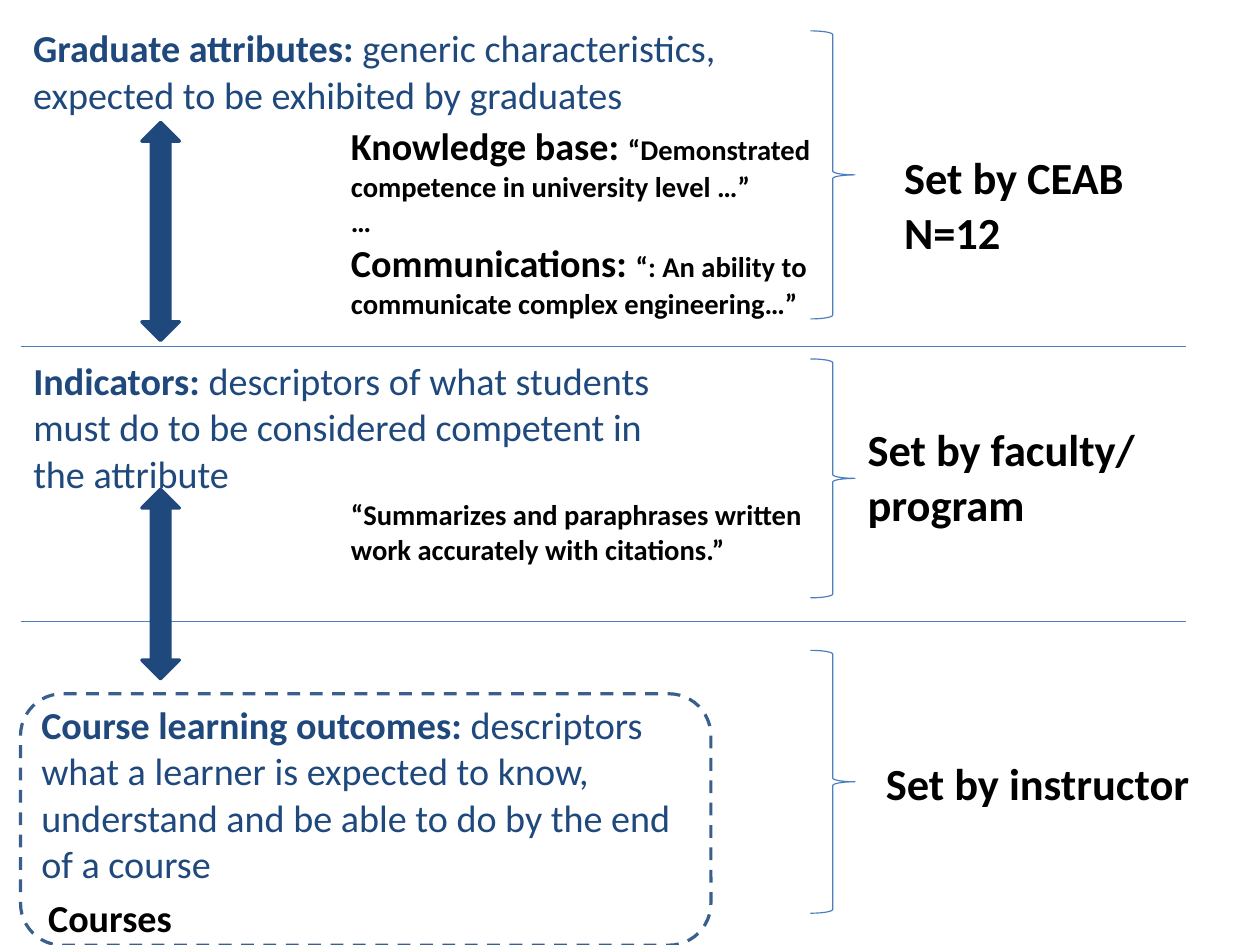
from dataclasses import dataclass

from lxml import etree
from pptx import Presentation
from pptx import util as u
from pptx.dml.color import RGBColor
from pptx.enum import dml, shapes, text
from pptx.oxml.ns import qn


@dataclass(frozen=True)
class Theme:
    font: str = "Calibri"
    blue: str = "1F497D"
    black: str = "000000"
    rule: str = "4B7EBC"
    dash: str = "3A5F8C"
    small: int = 18
    body: int = 24
    label: int = 28
    thin: float = 0.75
    thick: float = 2
    spacing: float = 1.02
    inset_side: int = 8
    inset_end: int = 4


THEME = Theme()
WIDTH_CM, HEIGHT_CM = 28, 21

# Columns (inches from the left edge)
MARGIN, EXAMPLES, BRACE, RULE_END = 0.18, 2.96, 7.09, 10.38
EXAMPLE_WIDTH, BRACE_WIDTH = 4.65, 0.39
ARROW_LEFT, ARROW_WIDTH = 1.24, 0.33

# A run is (words, size, bold); a paragraph is a list of runs.
# Boxes are (left, top, width, height); spans are (top, height).
TIERS = [
    dict(
        definition=[[("Graduate attributes: ", THEME.body, True),
                     ("generic characteristics, expected to be exhibited by graduates", THEME.body, False)]],
        definition_box=(MARGIN, 0.15, 6.5, 0.94),
        examples=[
            [("Knowledge base: ", THEME.body, True), ("“Demonstrated", THEME.small, True)],
            [("competence in university level …”", THEME.small, True)],
            [("…", THEME.small, True)],
            [("Communications: ", THEME.body, True),
             ("“: An ability to communicate complex engineering…”", THEME.small, True)],
        ],
        examples_span=(1.01, 1.97),
        owner=["Set by CEAB", "N=12"],
        owner_box=(7.8, 1.25, 2.17, 1.07),
        brace_span=(0.27, 2.52),
        arrow_span=(1.07, 1.91),
        rule_below=3.03,
    ),
    dict(
        definition=[[("Indicators:", THEME.body, True),
                     (" descriptors of what students must do to be considered competent in the attribute",
                      THEME.body, False)]],
        definition_box=(MARGIN, 3.06, 5.75, 1.35),
        examples=[[("“Summarizes and paraphrases written work accurately with citations.”", THEME.small, True)]],
        examples_span=(4.29, 0.73),
        owner=["Set by faculty/", "program"],
        owner_box=(7.48, 3.63, 2.59, 1.07),
        brace_span=(3.14, 2.09),
        arrow_span=(4.28, 1.66),
        rule_below=5.44,
    ),
    dict(
        definition=[[("Course learning outcomes: ", THEME.body, True),
                     ("descriptors what a learner is expected to know, understand and be able to do "
                      "by the end of a course", THEME.body, False)]],
        definition_box=(0.25, 6.07, 5.75, 1.76),
        owner=["Set by instructor"],
        owner_box=(7.64, 6.55, 3.02, 0.59),
        brace_span=(5.69, 2.3),
    ),
]
COURSES = [[("Courses", THEME.body, True)]]
COURSES_BOX = (0.31, 7.76, 1.32, 0.51)
COURSES_FRAME = (MARGIN, 6.07, 6.04, 2.2)


def inches(values):
    return [u.Inches(value) for value in values]


def rgb(colour):
    return RGBColor.from_string(colour)


def add_words(slide, box, paragraphs, colour, wrap=True):
    frame = slide.shapes.add_textbox(*inches(box)).text_frame
    frame.word_wrap = wrap
    frame.auto_size = text.MSO_AUTO_SIZE.SHAPE_TO_FIT_TEXT
    frame.margin_left = frame.margin_right = u.Pt(THEME.inset_side)
    frame.margin_top = frame.margin_bottom = u.Pt(THEME.inset_end)
    for index, runs in enumerate(paragraphs):
        paragraph = frame.add_paragraph() if index else frame.paragraphs[0]
        paragraph.line_spacing = THEME.spacing
        for words, size, bold in runs:
            run = paragraph.add_run()
            run.text = words
            run.font.name = THEME.font
            run.font.size = u.Pt(size)
            run.font.bold = bold
            run.font.color.rgb = rgb(colour)


def add_outline(slide, preset, box, line, weight, fill=None):
    shape = slide.shapes.add_shape(preset, *inches(box))
    shape.shadow.inherit = False
    if fill:
        shape.fill.solid()
        shape.fill.fore_color.rgb = rgb(fill)
    else:
        shape.fill.background()
    shape.line.color.rgb = rgb(line)
    shape.line.width = u.Pt(weight)
    return shape


def add_rule(slide, y):
    rule = slide.shapes.add_connector(shapes.MSO_CONNECTOR.STRAIGHT, *inches((MARGIN, y, RULE_END, y)))
    rule.line.color.rgb = rgb(THEME.rule)
    rule.line.width = u.Pt(THEME.thin)
    etree.SubElement(rule._element.spPr, qn("a:effectLst"))


def add_arrow(slide, top, length):
    """Draw a level double arrow and turn it upright within its column."""
    left = ARROW_LEFT + (ARROW_WIDTH - length) / 2
    level_top = top + (length - ARROW_WIDTH) / 2
    arrow = add_outline(slide, shapes.MSO_SHAPE.LEFT_RIGHT_ARROW, (left, level_top, length, ARROW_WIDTH),
                        THEME.blue, THEME.thick, fill=THEME.blue)
    arrow.rotation = 90


def add_tier(slide, tier):
    add_words(slide, tier["definition_box"], tier["definition"], THEME.blue)
    owner = [[(words, THEME.label, True)] for words in tier["owner"]]
    add_words(slide, tier["owner_box"], owner, THEME.black, wrap=False)
    top, height = tier["brace_span"]
    add_outline(slide, shapes.MSO_SHAPE.RIGHT_BRACE, (BRACE, top, BRACE_WIDTH, height),
                THEME.rule, THEME.thin)
    if "examples" in tier:
        top, height = tier["examples_span"]
        add_words(slide, (EXAMPLES, top, EXAMPLE_WIDTH, height), tier["examples"], THEME.black)
    if "rule_below" in tier:
        add_rule(slide, tier["rule_below"])
        add_arrow(slide, *tier["arrow_span"])


def main():
    deck = Presentation()
    deck.slide_width, deck.slide_height = u.Cm(WIDTH_CM), u.Cm(HEIGHT_CM)
    slide = deck.slides.add_slide(deck.slide_layouts[6])
    frame = add_outline(slide, shapes.MSO_SHAPE.ROUNDED_RECTANGLE, COURSES_FRAME, THEME.dash, THEME.thick)
    frame.line.dash_style = dml.MSO_LINE.DASH
    add_words(slide, COURSES_BOX, COURSES, THEME.black, wrap=False)
    for tier in TIERS:
        add_tier(slide, tier)
    deck.save("out.pptx")


if __name__ == "__main__":
    main()
